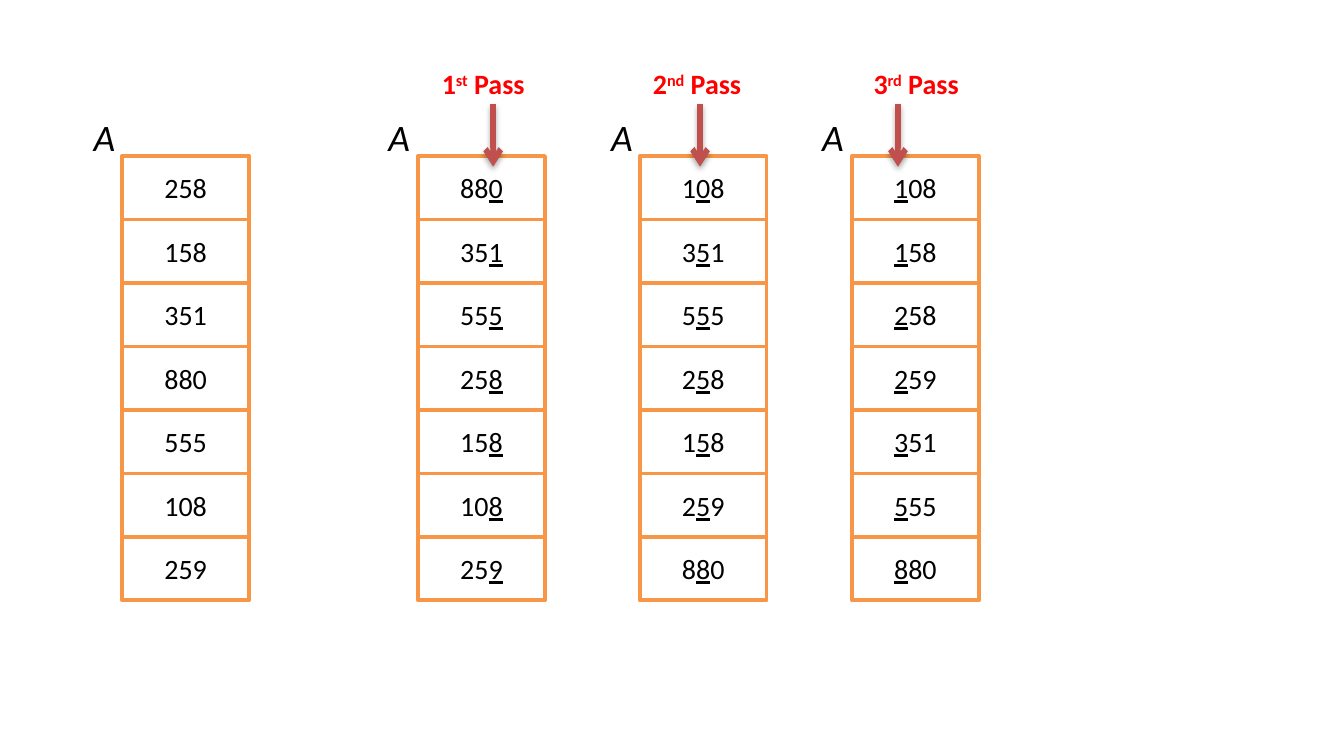
"""Draw a radix sort of seven numbers, one column per pass."""
from lxml import etree
from pptx import Presentation
from pptx import util as u
from pptx.dml.color import RGBColor
from pptx.enum import shapes, text
from pptx.oxml import parse_xml
from pptx.oxml.ns import qn

BLACK = RGBColor(0, 0, 0)
WHITE = RGBColor(255, 255, 255)
RED = RGBColor(255, 0, 0)
ORANGE = RGBColor(0xF7, 0x96, 0x46)
BRICK = RGBColor(0xC0, 0x50, 0x4D)

TOP, WIDE, HIGH = 2.95, 2.4, 1.2
SHADOW = (
    '<a:effectLst xmlns:a="http://schemas.openxmlformats.org/drawingml/2006/main">'
    '<a:outerShdw blurRad="40000" dist="23000" dir="5400000" rotWithShape="0">'
    '<a:srgbClr val="000000"><a:alpha val="35000"/></a:srgbClr>'
    '</a:outerShdw></a:effectLst>'
)

START = (2.31, 1.52, "258 158 351 880 555 108 259")
PASSES = [
    (7.9, 7.09, "880 351 555 258 158 108 259", 2, 9.32, 8.1, 2.13, "st"),
    (12.09, 11.3, "108 351 555 258 158 259 880", 1, 13.23, 12.09, 2.26, "nd"),
    (16.1, 15.29, "108 158 258 259 351 555 880", 0, 16.97, 16.26, 2.18, "rd"),
]


def style(para, size, color):
    font = para.font
    font.name, font.size = "Calibri", u.Pt(size)
    font.color.rgb = color
    return font


def add_cell(slide, left, top, num, digit):
    box = slide.shapes.add_shape(
        shapes.MSO_SHAPE.RECTANGLE, u.Cm(left), u.Cm(top), u.Cm(WIDE), u.Cm(HIGH))
    box.shadow.inherit = False
    box.fill.solid()
    box.fill.fore_color.rgb = WHITE
    box.line.color.rgb = ORANGE
    box.line.width = u.Pt(2)
    box.text_frame.vertical_anchor = text.MSO_ANCHOR.MIDDLE
    para = box.text_frame.paragraphs[0]
    para.alignment = text.PP_ALIGN.CENTER
    style(para, 15, BLACK)
    if digit is None:
        para.add_run().text = num
        return
    for part in (num[:digit], num[digit], num[digit + 1:]):
        if part:
            para.add_run().text = part
    para.runs[min(digit, 1)].font.underline = True


def add_column(slide, left, name, nums, digit=None):
    for row, num in enumerate(nums.split()):
        add_cell(slide, left, TOP + row * HIGH, num, digit)
    para = add_label(slide, name, 2.03, 0.91, 1.11)
    style(para, 20, BLACK).italic = True
    para.add_run().text = "A"


def add_label(slide, left, top, wide, high):
    box = slide.shapes.add_textbox(u.Cm(left), u.Cm(top), u.Cm(wide), u.Cm(high))
    box.text_frame.word_wrap = False
    box.text_frame.auto_size = text.MSO_AUTO_SIZE.SHAPE_TO_FIT_TEXT
    return box.text_frame.paragraphs[0]


def add_title(slide, left, wide, order, suffix):
    para = add_label(slide, left, 1.14, wide, 0.89)
    style(para, 15, RED).bold = True
    for part in (str(order), suffix, " Pass"):
        para.add_run().text = part
    para.runs[1].font._element.set("baseline", "30000")


def add_arrow(slide, left):
    arrow = slide.shapes.add_connector(
        shapes.MSO_CONNECTOR.STRAIGHT, u.Cm(left), u.Cm(1.96), u.Cm(left), u.Cm(3.15))
    arrow.line.color.rgb = BRICK
    arrow.line.width = u.Pt(3)
    etree.SubElement(arrow.line._get_or_add_ln(), qn("a:tailEnd"), type="arrow")
    arrow._element.spPr.append(parse_xml(SHADOW))


def main():
    deck = Presentation()
    deck.slide_width, deck.slide_height = u.Cm(25.4), u.Cm(14.29)
    slide = deck.slides.add_slide(deck.slide_layouts[6])
    add_column(slide, *START)
    for order, (left, name, nums, digit, tip, head, wide, suffix) in enumerate(PASSES, 1):
        add_column(slide, left, name, nums, digit)
        add_arrow(slide, tip)
        add_title(slide, head, wide, order, suffix)
    deck.save("out.pptx")


if __name__ == "__main__":
    main()
